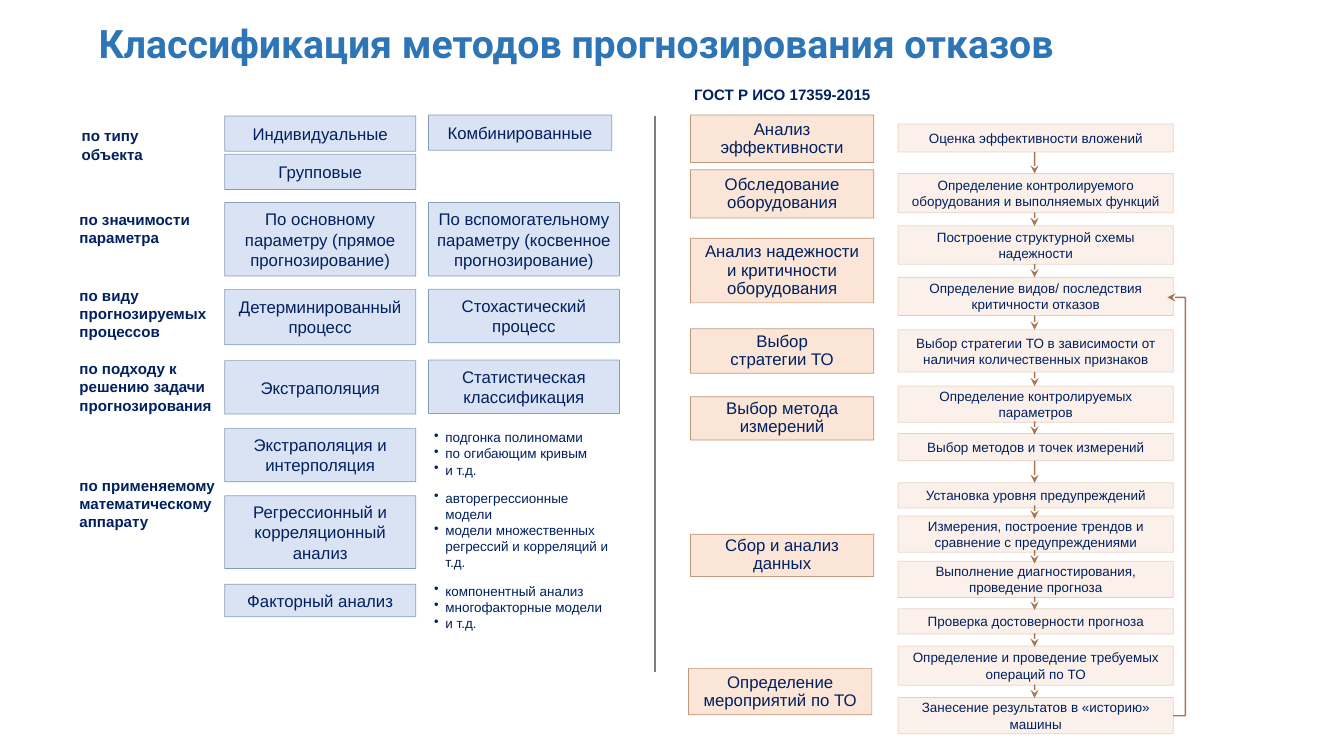
from dataclasses import dataclass
from itertools import pairwise

from lxml import etree
from pptx import Presentation
from pptx.dml.color import RGBColor
from pptx.enum.shapes import MSO_CONNECTOR, MSO_SHAPE
from pptx.enum.text import MSO_ANCHOR, PP_ALIGN
from pptx.oxml.ns import qn
from pptx.util import Pt

RECTANGLE = MSO_SHAPE.RECTANGLE
STRAIGHT = MSO_CONNECTOR.STRAIGHT
TOP, MIDDLE = MSO_ANCHOR.TOP, MSO_ANCHOR.MIDDLE
LEFT, CENTER = PP_ALIGN.LEFT, PP_ALIGN.CENTER

NAVY, TITLE_BLUE, GRAY = "002060", "2E75B6", "7F7F7F"
PALE_BLUE, DARK_BLUE = "DAE3F3", "1F4E79"
PEACH, BROWN = "FBE5D6", "843C0B"


@dataclass
class BoxStyle:
    fill: str
    line: str
    fill_opacity: int
    line_opacity: int
    size: float
    inset: float
    spacing: float = 1.0


@dataclass
class TextStyle:
    size: float
    bold: bool = True
    color: str = NAVY
    font: str = "Arial"
    align: PP_ALIGN = LEFT
    spacing: float = 1.0
    bullet: str = ""


@dataclass
class Item:
    left: float
    top: float
    width: float
    height: float
    text: str


METHOD = BoxStyle(PALE_BLUE, DARK_BLUE, 100, 50, 12, 3.6)
STAGE = BoxStyle(PEACH, BROWN, 100, 50, 12, 7.2, 0.9)
STEP = BoxStyle(PEACH, BROWN, 50, 20, 9.6, 7.2)
TITLE = TextStyle(28, color=TITLE_BLUE, font="Roboto")
STANDARD = TextStyle(10.8, align=CENTER)
LABEL = TextStyle(10.8)
EXAMPLES = TextStyle(9.6, bold=False, bullet="•")

FIRST, SECOND, METHOD_WIDTH = 160.5, 306, 136.5
METHODS = [
    Item(FIRST, 82.8, METHOD_WIDTH, 25.2, "Индивидуальные"),
    Item(SECOND, 82.1, 131, 25.2, "Комбинированные"),
    Item(FIRST, 110.2, METHOD_WIDTH, 25.2, "Групповые"),
    Item(FIRST, 144.7, METHOD_WIDTH, 52.5, "По основному параметру (прямое прогнозирование)"),
    Item(SECOND, 144.7, METHOD_WIDTH, 52.5, "По вспомогательному параметру (косвенное прогнозирование)"),
    Item(FIRST, 206.7, METHOD_WIDTH, 39.6, "Детерминированный процесс"),
    Item(SECOND, 206.7, METHOD_WIDTH, 38.2, "Стохастический процесс"),
    Item(FIRST, 257.6, METHOD_WIDTH, 38.2, "Экстраполяция"),
    Item(SECOND, 257.2, METHOD_WIDTH, 38.2, "Статистическая классификация"),
    Item(FIRST, 306, METHOD_WIDTH, 38.2, "Экстраполяция и интерполяция"),
    Item(FIRST, 354.2, METHOD_WIDTH, 52, "Регрессионный и корреляционный анализ"),
    Item(FIRST, 417.4, METHOD_WIDTH, 23.2, "Факторный анализ"),
]
LABELS = [
    Item(51.3, 87.1, 91.4, 33, "по типу объекта"),
    Item(49.7, 146.9, 113, 33, "по значимости параметра"),
    Item(49.7, 200.9, 113, 47, "по виду прогнозируемых процессов"),
    Item(49.7, 253.4, 113, 47, "по подходу к решению задачи прогнозирования"),
    Item(49.7, 336.5, 113, 47, "по применяемому математическому аппарату"),
]
EXAMPLE_LISTS = [
    Item(303.1, 303.1, 141.1, 42.5, "подгонка полиномами\nпо огибающим кривым\nи т.д."),
    Item(303.1, 346.3, 141.1, 65.5,
         "авторегрессионные модели\nмодели множественных регрессий и корреляций и т.д."),
    Item(303.1, 412.6, 141.1, 42.5, "компонентный анализ\nмногофакторные модели\nи т.д."),
]
STAGES = [
    Item(493.2, 82.1, 131, 34, "Анализ эффективности"),
    Item(493.2, 121.3, 131, 34.4, "Обследование оборудования"),
    Item(493.2, 170.2, 131, 46.2, "Анализ надежности и критичности оборудования"),
    Item(493.2, 234.9, 131, 31.7, "Выбор\nстратегии ТО"),
    Item(493.2, 283.4, 131, 31, "Выбор метода измерений"),
    Item(493.2, 381.6, 131, 30.2, "Сбор и анализ данных"),
    Item(491.8, 477.4, 131, 33.2, "Определение мероприятий по ТО"),
]
STEPS = [
    Item(641.5, top, 196.6, height, text)
    for top, height, text in [
        (88.5, 20.1, "Оценка эффективности вложений"),
        (124, 28, "Определение контролируемого оборудования и выполняемых функций"),
        (161.3, 27.4, "Построение структурной схемы надежности"),
        (198, 27.4, "Определение видов/ последствия критичности отказов"),
        (235.6, 30.2, "Выбор стратегии ТО в зависимости от наличия количественных признаков"),
        (275.8, 25.9, "Определение контролируемых параметров"),
        (309.6, 19.6, "Выбор методов и точек измерений"),
        (344.9, 18, "Установка уровня предупреждений"),
        (368.6, 25.9, "Измерения, построение трендов и сравнение с предупреждениями"),
        (401, 25.9, "Выполнение диагностирования, проведение прогноза"),
        (434.9, 18, "Проверка достоверности прогноза"),
        (461.5, 28, "Определение и проведение требуемых операций по ТО"),
        (498.2, 25.9, "Занесение результатов в «историю» машины"),
    ]
]
ARROW_X, ARROW_MINIMUM = 739, 9.5
LOOP_X, LOOP_TOP, LOOP_BOTTOM = 846.7, 212.4, 511.2


def rgb(color: str) -> RGBColor:
    return RGBColor.from_string(color)


def fade(parent, opacity: int) -> None:
    color = parent.find(qn("a:solidFill"))[0]
    etree.SubElement(color, qn("a:alpha")).set("val", str(opacity * 1000))


def write(frame, text: str, style: TextStyle) -> None:
    frame.word_wrap = True
    for index, line in enumerate(text.split("\n")):
        paragraph = frame.add_paragraph() if index else frame.paragraphs[0]
        paragraph.text = line
        paragraph.alignment = style.align
        paragraph.line_spacing = style.spacing
        if style.bullet:
            properties = paragraph._p.get_or_add_pPr()
            properties.set("marL", str(Pt(8)))
            properties.set("indent", str(-Pt(8)))
            etree.SubElement(properties, qn("a:buChar")).set("char", style.bullet)
        font = paragraph.font
        font.name, font.size, font.bold = style.font, Pt(style.size), style.bold
        font.color.rgb = rgb(style.color)


def add_text(slide, item: Item, style: TextStyle) -> None:
    shape = slide.shapes.add_textbox(Pt(item.left), Pt(item.top), Pt(item.width), Pt(item.height))
    shape.text_frame.vertical_anchor = TOP
    write(shape.text_frame, item.text, style)


def add_box(slide, item: Item, style: BoxStyle) -> None:
    shape = slide.shapes.add_shape(
        RECTANGLE, Pt(item.left), Pt(item.top), Pt(item.width), Pt(item.height))
    shape.shadow.inherit = False
    shape.fill.solid()
    shape.fill.fore_color.rgb = rgb(style.fill)
    shape.line.color.rgb = rgb(style.line)
    shape.line.width = Pt(0.5)
    properties = shape.element.spPr
    fade(properties, style.fill_opacity)
    fade(properties.find(qn("a:ln")), style.line_opacity)
    frame = shape.text_frame
    frame.vertical_anchor = MIDDLE
    frame.margin_left = frame.margin_right = Pt(style.inset)
    frame.margin_top = frame.margin_bottom = 0
    write(frame, item.text, TextStyle(style.size, bold=False, align=CENTER, spacing=style.spacing))


def add_line(slide, start: tuple[float, float], end: tuple[float, float],
             color: str = BROWN, opacity: int = 70, arrow: bool = False) -> None:
    connector = slide.shapes.add_connector(
        STRAIGHT, Pt(start[0]), Pt(start[1]), Pt(end[0]), Pt(end[1]))
    connector.line.color.rgb = rgb(color)
    connector.line.width = Pt(1)
    properties = connector.element.spPr
    outline = properties.find(qn("a:ln"))
    fade(outline, opacity)
    if arrow:
        etree.SubElement(outline, qn("a:tailEnd")).set("type", "stealth")
    etree.SubElement(properties, qn("a:effectLst"))


def main() -> None:
    presentation = Presentation()
    presentation.slide_width, presentation.slide_height = Pt(960), Pt(540)
    slide = presentation.slides.add_slide(presentation.slide_layouts[6])

    add_text(slide, Item(63.4, 10, 775.4, 60, "Классификация методов прогнозирования отказов"), TITLE)
    add_text(slide, Item(466.6, 57.6, 184.3, 20.2, "ГОСТ Р ИСО 17359-2015"), STANDARD)
    for items, style in ((LABELS, LABEL), (EXAMPLE_LISTS, EXAMPLES)):
        for item in items:
            add_text(slide, item, style)
    for items, style in ((METHODS, METHOD), (STAGES, STAGE), (STEPS, STEP)):
        for item in items:
            add_box(slide, item, style)

    add_line(slide, (468, 82.8), (468, 480.2), GRAY, 100)
    for upper, lower in pairwise(STEPS):
        bottom = upper.top + upper.height
        middle = (bottom + lower.top) / 2
        half = max(lower.top - bottom, ARROW_MINIMUM) / 2
        add_line(slide, (ARROW_X, middle - half), (ARROW_X, middle + half), arrow=True)
    add_line(slide, (LOOP_X, LOOP_BOTTOM), (838, LOOP_BOTTOM))
    add_line(slide, (LOOP_X, LOOP_BOTTOM), (LOOP_X, LOOP_TOP))
    add_line(slide, (LOOP_X, LOOP_TOP), (833.8, LOOP_TOP), arrow=True)
    presentation.save("out.pptx")


if __name__ == "__main__":
    main()
